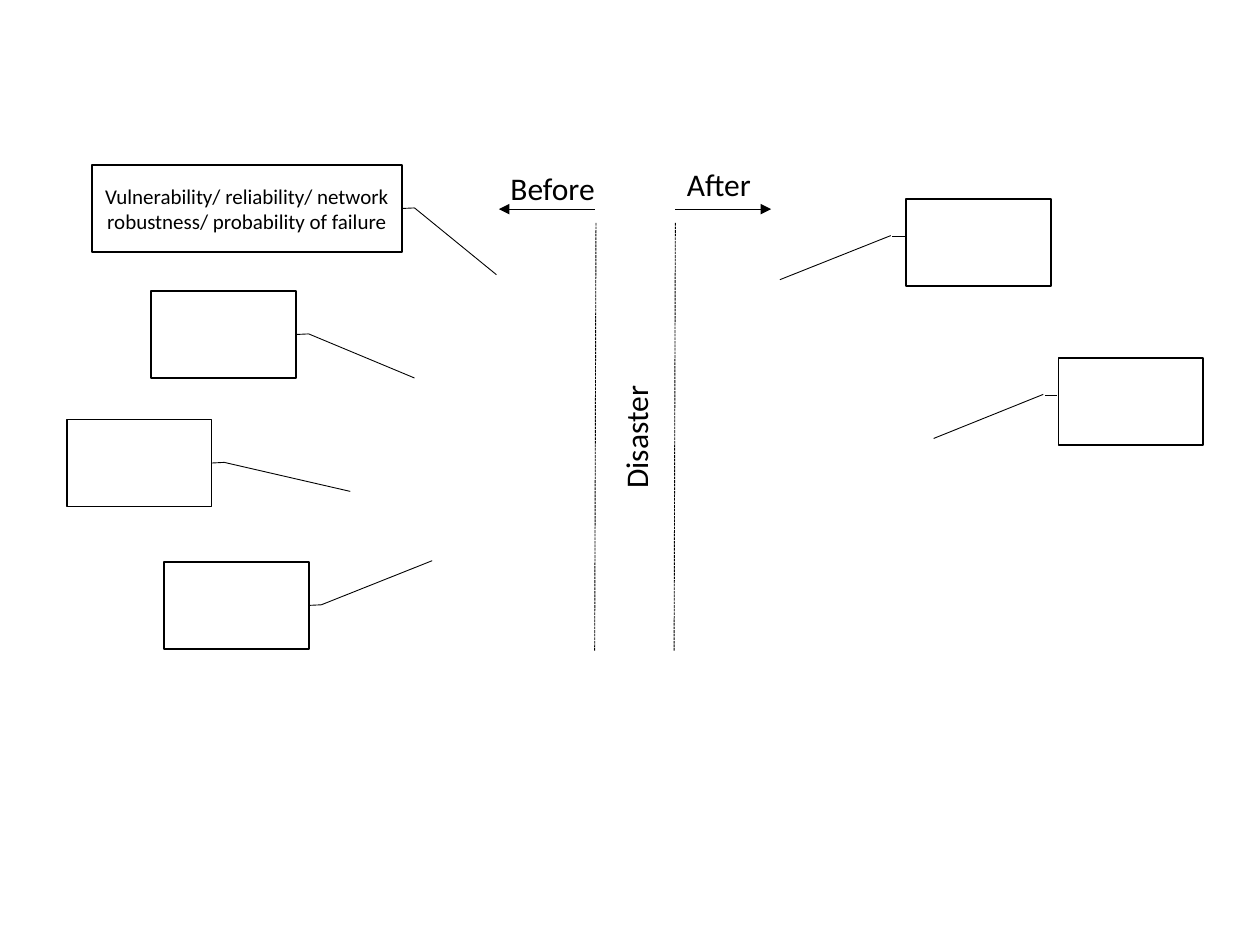
from lxml.etree import SubElement
from pptx import Presentation
from pptx.dml.color import RGBColor
from pptx.enum.dml import MSO_LINE_DASH_STYLE as Dash
from pptx.enum.shapes import MSO_CONNECTOR as Connector, MSO_SHAPE as Shape
from pptx.enum.text import MSO_ANCHOR as Anchor, MSO_AUTO_SIZE as AutoSize, PP_ALIGN as Align
from pptx.oxml.ns import qn
from pptx.util import Pt

SCALE = 9144
BLACK = "000000"
BOX_WIDTH, BOX_HEIGHT = 115, 69
LEFT_CALLOUTS = [
    ((120, 231, BOX_WIDTH, BOX_HEIGHT), (329, 300), ""),
    ((73, 131, 246, BOX_HEIGHT), (394, 218),
     "Vulnerability/ reliability/ network robustness/ probability of failure"),
    ((130, 446, BOX_WIDTH, BOX_HEIGHT), (343, 445), ""),
    ((53, 333, BOX_WIDTH, BOX_HEIGHT), (278, 390), ""),
]
RIGHT_CALLOUTS = [
    ((719, 158, BOX_WIDTH, BOX_HEIGHT), (619, 222)),
    ((840, 284, BOX_WIDTH, BOX_HEIGHT), (741, 348)),
]


def px(*lengths):
    """Turn px lengths into EMU."""
    return [length * SCALE for length in lengths]


def color(value):
    """Turn a hex string into a colour."""
    return RGBColor.from_string(value)


def apply_format(target, values):
    """Set each attribute named in a dict of format values."""
    for name, value in values.items():
        setattr(target, name, value)


def write(shape, text, size, frame_format):
    """Write one centred paragraph into a shape."""
    apply_format(shape.text_frame, {"word_wrap": True, **frame_format})
    paragraph = shape.text_frame.paragraphs[0]
    paragraph.alignment = Align.CENTER
    run = paragraph.add_run()
    run.text = text
    apply_format(run.font, {"name": "Calibri", "size": Pt(size)})
    run.font.color.rgb = color(BLACK)


def add_line(shapes, start, end, dash=None, arrow=False):
    """Draw a thin black line, dashed or with an arrowhead if asked."""
    line = shapes.add_connector(Connector.STRAIGHT, *px(*start, *end))
    line.line.color.rgb = color(BLACK)
    apply_format(line.line, {"width": Pt(0.5), "dash_style": dash})
    if arrow:
        SubElement(line.line._get_or_add_ln(), qn("a:tailEnd"), type="triangle")
    SubElement(line._element.spPr, qn("a:effectLst"))
    return line


def add_label(slide, left, top, text, rotation=0):
    """Add a large label."""
    label = slide.shapes.add_textbox(*px(left, top, 199, 40))
    label.rotation = rotation
    write(label, text, 18, {"auto_size": AutoSize.SHAPE_TO_FIT_TEXT})


def add_box(shapes, box):
    """Add an outlined box without fill."""
    shape = shapes.add_shape(Shape.RECTANGLE, *px(*box))
    shape.shadow.inherit = False
    shape.fill.background()
    shape.line.color.rgb = color(BLACK)
    shape.line.width = Pt(1)
    return shape


def add_left_callout(slide, box, target, text):
    """Add a box whose leader runs from its right side to the target."""
    left, top, width, height = box
    shapes = slide.shapes.add_group_shape().shapes
    shape = add_box(shapes, box)
    if text:
        write(shape, text, 12, {"vertical_anchor": Anchor.MIDDLE})
    side, middle = left + width, top + height // 2
    elbow = side + 10, middle
    add_line(shapes, elbow, target)
    add_line(shapes, elbow, (side, middle)).end_connect(shape, 3)


def add_right_callout(slide, box, target):
    """Add a box whose leader runs from its left side to the target."""
    left, top = box[:2]
    shapes = slide.shapes.add_group_shape().shapes
    add_box(shapes, box)
    add_line(shapes, target, (left - 12, top + 29))
    add_line(shapes, (left - 1, top + 30), (left - 11, top + 30))


def add_timeline(slide, left, top, width, height):
    """Mark the disaster between two dashed lines, with before and after."""
    right, arrow_y = left + width, top - 11
    for x in (left, right):
        add_line(slide.shapes, (x + 1, top), (x, top + height), dash=Dash.SQUARE_DOT)
    add_label(slide, left - 67, top + 150, "Disaster", rotation=270)
    add_line(slide.shapes, (left, arrow_y), (left - 76, arrow_y), arrow=True)
    add_line(slide.shapes, (right + 1, arrow_y), (right + 77, arrow_y), arrow=True)
    add_label(slide, left - 133, top - 48, "Before")
    add_label(slide, left - 1, top - 51, "After")


def main():
    """Build the slide and save it."""
    presentation = Presentation()
    slide_width, slide_height = px(1000, 750)
    apply_format(presentation, {"slide_width": slide_width, "slide_height": slide_height})
    slide = presentation.slides.add_slide(presentation.slide_layouts[6])
    add_timeline(slide, 472, 177, 63, 340)
    for callout in LEFT_CALLOUTS:
        add_left_callout(slide, *callout)
    for callout in RIGHT_CALLOUTS:
        add_right_callout(slide, *callout)
    presentation.save("out.pptx")


if __name__ == "__main__":
    main()
